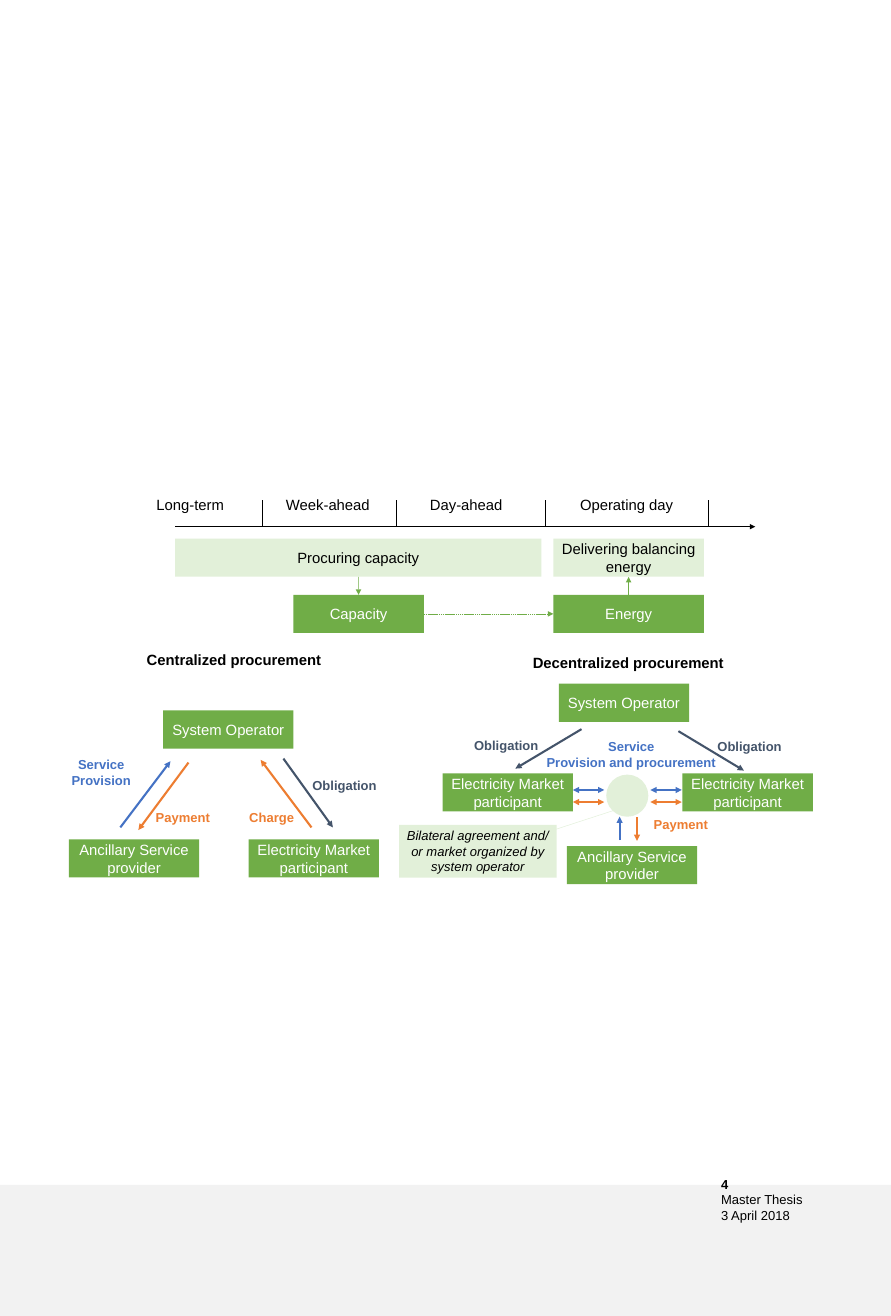
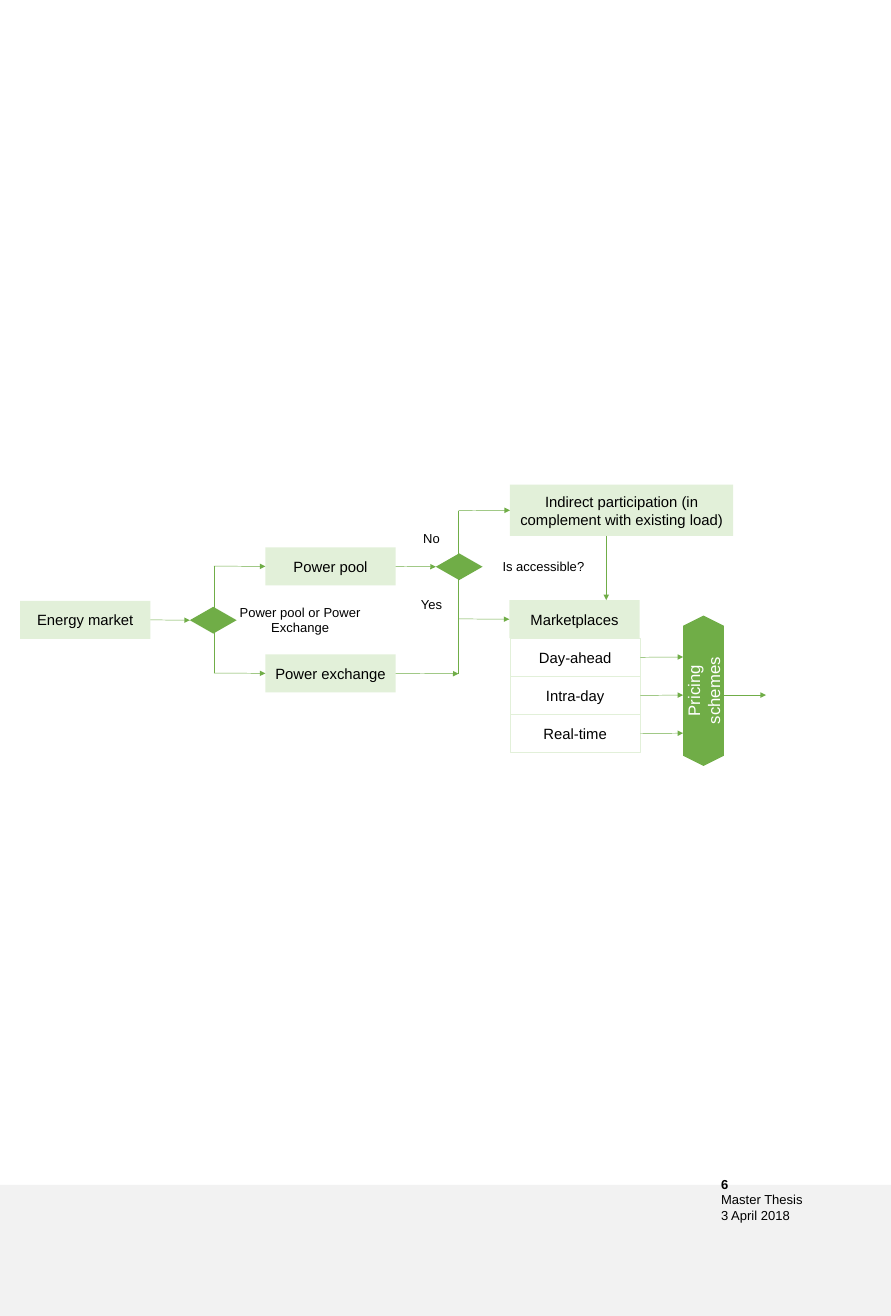
import pptx
import pptx.util
import pptx.dml.color
import pptx.enum.dml
import pptx.enum.shapes
import pptx.enum.text
import pptx.oxml.ns
import lxml.etree

Inches = pptx.util.Inches
RGBColor = pptx.dml.color.RGBColor
Shape = pptx.enum.shapes.MSO_SHAPE

BLACK = RGBColor(0x00, 0x00, 0x00)
WHITE = RGBColor(0xFF, 0xFF, 0xFF)
GREY = RGBColor(0xF2, 0xF2, 0xF2)
GREEN = RGBColor(0x70, 0xAD, 0x47)
PALE = RGBColor(0xE2, 0xF0, 0xD9)
BLUE = RGBColor(0x44, 0x72, 0xC4)
ORANGE = RGBColor(0xED, 0x7D, 0x31)
SLATE = RGBColor(0x44, 0x54, 0x6A)

FONT = "Arial"
PAGE_W, PAGE_H = 13.33, 19.69
BOX_W, BOX_H = 1.95, 0.57
BOLD_W = 2.25
TOP, LEFT, BOTTOM, RIGHT = range(4)


def add_run(para, text, size, color, bold=False, italic=False):
    run = para.add_run()
    run.text = text
    font = run.font
    font.name = FONT
    font.size = pptx.util.Pt(size)
    font.color.rgb = color
    font.bold = bold
    font.italic = italic


def write(shape, text, size, color, bold=False, italic=False):
    """Centre the text in the shape, one paragraph for each line."""
    frame = shape.text_frame
    frame.word_wrap = True
    frame.vertical_anchor = pptx.enum.text.MSO_ANCHOR.MIDDLE
    for i, line in enumerate(text.split("\n")):
        para = frame.add_paragraph() if i else frame.paragraphs[0]
        para.alignment = pptx.enum.text.PP_ALIGN.CENTER
        add_run(para, line, size, color, bold, italic)


def side(shape, site):
    """Point at the middle of one side, in EMU."""
    x, y, w, h = shape.left, shape.top, shape.width, shape.height
    return [(x + w // 2, y), (x, y + h // 2),
            (x + w // 2, y + h), (x + w, y + h // 2)][site]


class Area:
    """Part of a slide whose items are placed from its top left corner."""

    def __init__(self, slide, x, y):
        self.shapes = slide.shapes
        self.x, self.y = x, y

    def point(self, x, y):
        return Inches(self.x + x), Inches(self.y + y)

    def box(self, text, x, y, w=BOX_W, h=BOX_H, fill=GREEN, edge=None,
            size=16, italic=False, form=Shape.RECTANGLE):
        item = self.shapes.add_shape(form, *self.point(x, y),
                                     Inches(w), Inches(h))
        item.shadow.inherit = False
        if fill is None:
            item.fill.background()
        else:
            item.fill.solid()
            item.fill.fore_color.rgb = fill
        if edge is None:
            item.line.fill.background()
        else:
            item.line.color.rgb = edge
            item.line.width = pptx.util.Pt(1)
        if text:
            ink = WHITE if fill == GREEN else BLACK
            write(item, text, size, ink, italic=italic)
        return item

    def label(self, text, x, y, w, h=0.49, color=BLACK, size=14, bold=True):
        item = self.shapes.add_textbox(*self.point(x, y),
                                       Inches(w), Inches(h))
        write(item, text, size, color, bold)

    def link(self, start, end, color=GREEN, width=0.5, ends="tail",
             dash=None):
        """Draw a line; an end is (x, y) in the area or (shape, site)."""
        joins = [not isinstance(p[0], (int, float)) for p in (start, end)]
        spots = [side(*p) if join else self.point(*p)
                 for p, join in zip((start, end), joins)]
        line = self.shapes.add_connector(
            pptx.enum.shapes.MSO_CONNECTOR.STRAIGHT, *spots[0], *spots[1])
        if joins[0]:
            line.begin_connect(*start)
        if joins[1]:
            line.end_connect(*end)
        line.line.color.rgb = color
        line.line.width = pptx.util.Pt(width)
        if dash:
            line.line.dash_style = dash
        qn = pptx.oxml.ns.qn
        props = line._element.spPr
        for name in ends.split():
            lxml.etree.SubElement(props.find(qn("a:ln")),
                                  qn(f"a:{name}End"), type="triangle")
        lxml.etree.SubElement(props, qn("a:effectLst"))


def add_page(deck, number):
    """Add a slide with the grey band and the footer."""
    slide = deck.slides.add_slide(deck.slide_layouts[6])
    area = Area(slide, 0, 17.73)
    area.box("", 0, 0, PAGE_W, 1.97, GREY)
    foot = slide.shapes.add_textbox(*area.point(10.69, -0.18),
                                    Inches(2.64), Inches(0.81))
    frame = foot.text_frame
    frame.word_wrap = True
    for i, text in enumerate([str(number), "Master Thesis", "3 April 2018"]):
        para = frame.add_paragraph() if i else frame.paragraphs[0]
        add_run(para, text, 14, BLACK, bold=i == 0)
    return slide


def draw_time(slide, x, y):
    area = Area(slide, x, y)
    area.link((0, 0.62), (8.68, 0.62), BLACK, 1.75)
    for tick in (1.3, 3.31, 5.54, 7.97):
        area.link((tick, 0.62), (tick, 0.22), BLACK, ends="")
    for text, left in [("Long-term", -0.9), ("Week-ahead", 1.16),
                       ("Day-ahead", 3.23), ("Operating day", 5.63)]:
        area.label(text, left, 0, BOLD_W, BOX_H, size=16, bold=False)
    buy = area.box("Procuring capacity", 0, 0.8, 5.48, fill=PALE)
    give = area.box("Delivering balancing energy", 5.66, 0.8, BOLD_W,
                    fill=PALE)
    power = area.box("Capacity", 1.77, 1.64)
    energy = area.box("Energy", 5.66, 1.64, BOLD_W)
    area.link((buy, BOTTOM), (power, TOP))
    area.link((power, RIGHT), (energy, LEFT),
              dash=pptx.enum.dml.MSO_LINE.SQUARE_DOT)
    area.link((energy, TOP), (give, BOTTOM))


def draw_central(slide, x, y):
    area = Area(slide, x, y)
    area.label("Centralized procurement", 0.88, 0, 3.18, BOX_H, size=16)
    area.box("System Operator", 1.41, 1.05)
    area.box("Ancillary Service provider", 0, 2.98)
    area.box("Electricity Market participant", 2.69, 2.98)
    for start, end, color in [
            ((1.79, 1.83), (1.04, 2.84), ORANGE),
            ((0.77, 2.8), (1.52, 1.81), BLUE),
            ((3.63, 2.8), (2.87, 1.79), ORANGE),
            ((3.21, 1.77), (3.95, 2.8), SLATE)]:
        area.link(start, end, color, 2.25)
    area.label("Service\nProvision", -0.98, 1.73, 2.93, color=BLUE)
    area.label("Payment", 0.94, 2.4, 1.53, color=ORANGE)
    area.label("Charge", 2.27, 2.4, 1.53, color=ORANGE)
    area.label("Obligation", 2.66, 1.93, 2.93, color=SLATE)


def draw_spread(slide, x, y):
    """Draw the decentralized scheme."""
    area = Area(slide, x, y)
    area.label("Decentralized procurement", 1.84, 0, 3.18, BOX_H, size=16)
    area.box("System Operator", 2.39, 0.6)
    area.box("Ancillary Service provider", 2.51, 3.03)
    for left in (0.65, 4.24):
        area.box("Electricity Market participant", left, 1.94)
    area.box("", 3.1, 1.96, 0.63, 0.63, PALE, form=Shape.OVAL)
    for start, end, color in [
            ((2.73, 1.28), (1.74, 1.87), SLATE),
            ((4.18, 1.31), (5.16, 1.9), SLATE),
            ((3.3, 2.94), (3.3, 2.59), BLUE),
            ((3.56, 2.6), (3.56, 2.95), ORANGE)]:
        area.link(start, end, color, 2.25)
    for left in (2.6, 3.76):
        for top, color in [(2.19, BLUE), (2.37, ORANGE)]:
            area.link((left + 0.47, top), (left, top), color, 2.25,
                      "head tail")
    area.label("Obligation", 0.14, 1.27, 2.93, color=SLATE)
    area.label("Obligation", 3.78, 1.29, 2.93, color=SLATE)
    area.label("Service\nProvision and procurement", 2.01, 1.41, 2.93,
               color=BLUE)
    area.label("Payment", 3.45, 2.46, 1.53, color=ORANGE)
    area.box("Bilateral agreement and/ or market organized by system "
             "operator", 0, 2.71, 2.36, 0.79, PALE, size=14, italic=True)
    area.link((2.31, 2.79), (3.2, 2.5), PALE, ends="")


def draw_choice(slide, x, y):
    """Draw the first decision; return its two outcome boxes."""
    area = Area(slide, x, y)
    start = area.box("Energy market", 0, 0.8, fill=PALE)
    fork = area.box("", 2.54, 0.89, 0.7, 0.4, form=Shape.DIAMOND)
    area.label("Power pool or Power Exchange", 3.18, 0.8, 2.02, BOX_H,
               bold=False)
    pool = area.box("Power pool", 3.67, 0, fill=PALE)
    trade = area.box("Power exchange", 3.67, 1.6, fill=PALE)
    area.link((start, RIGHT), (fork, LEFT))
    area.link((2.9, 0.28), (2.9, 1.88), ends="")
    area.link((2.9, 0.28), (pool, LEFT))
    area.link((2.9, 1.88), (trade, LEFT))
    return pool, trade


def draw_market(slide, x, y, pool, trade):
    area = Area(slide, x, y)
    fork = area.box("", 0.57, 1.03, 0.7, 0.4, form=Shape.DIAMOND)
    area.label("Is accessible?", 1.17, 0.94, 2.02, BOX_H, bold=False)
    area.label("No", 0, 0.52, 1.01, BOX_H, bold=False)
    area.label("Yes", 0, 1.51, 1.01, BOX_H, bold=False)
    other = area.box("Indirect participation (in complement with existing "
                     "load)", 1.68, 0, 3.34, 0.77, PALE)
    market = area.box("Marketplaces", 1.67, 1.73, fill=PALE)
    area.link((pool, RIGHT), (fork, LEFT))
    area.link((trade, RIGHT), (0.91, 2.83))
    area.link((0.91, 0.39), (0.91, 2.83), ends="")
    area.link((0.91, 0.39), (other, LEFT))
    area.link((0.91, 2.01), (market, LEFT))
    area.link((3.12, 0.77), (3.12, 1.73))
    price = area.box("Pricing schemes", 3.45, 2.78, 2.25, 0.61, size=18,
                     form=Shape.HEXAGON)
    price.rotation = 270
    step = 0.57
    for i, text in enumerate(["Day-ahead", "Intra-day", "Real-time"]):
        row = area.box(text, 1.68, 2.3 + i * step, fill=None, edge=PALE)
        area.link((row, RIGHT), (4.27, 2.58 + i * step))
    area.link((4.86, 3.15), (5.51, 3.15))


def main():
    deck = pptx.Presentation()
    deck.slide_width = Inches(PAGE_W)
    deck.slide_height = Inches(PAGE_H)

    slide = add_page(deck, 4)
    draw_time(slide, 2.62, 7.26)
    draw_central(slide, 1.03, 9.58)
    draw_spread(slide, 5.97, 9.63)

    slide = add_page(deck, 6)
    pool, trade = draw_choice(slide, 0.3, 8.19)
    draw_market(slide, 5.95, 7.25, pool, trade)

    deck.save("out.pptx")


if __name__ == "__main__":
    main()
